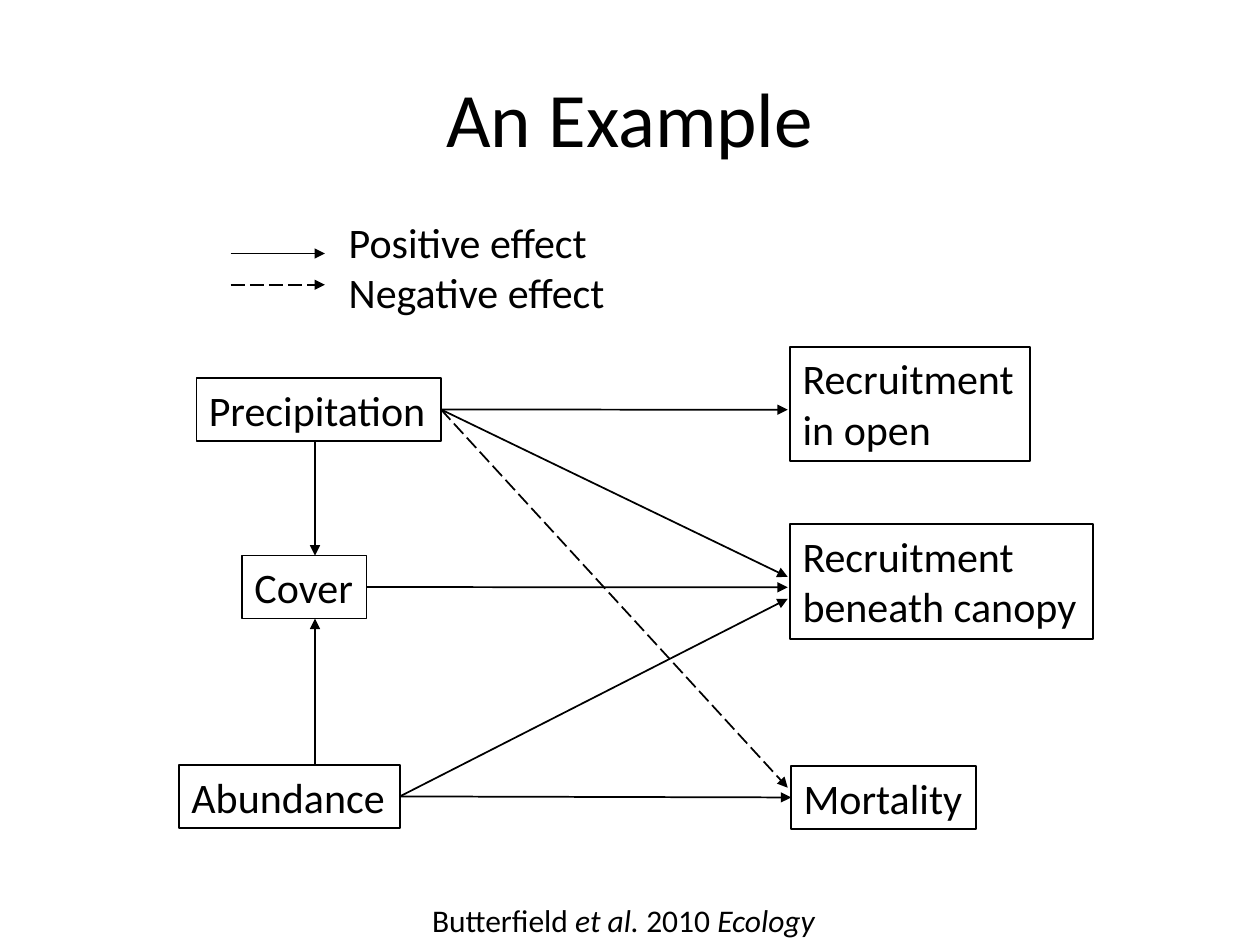
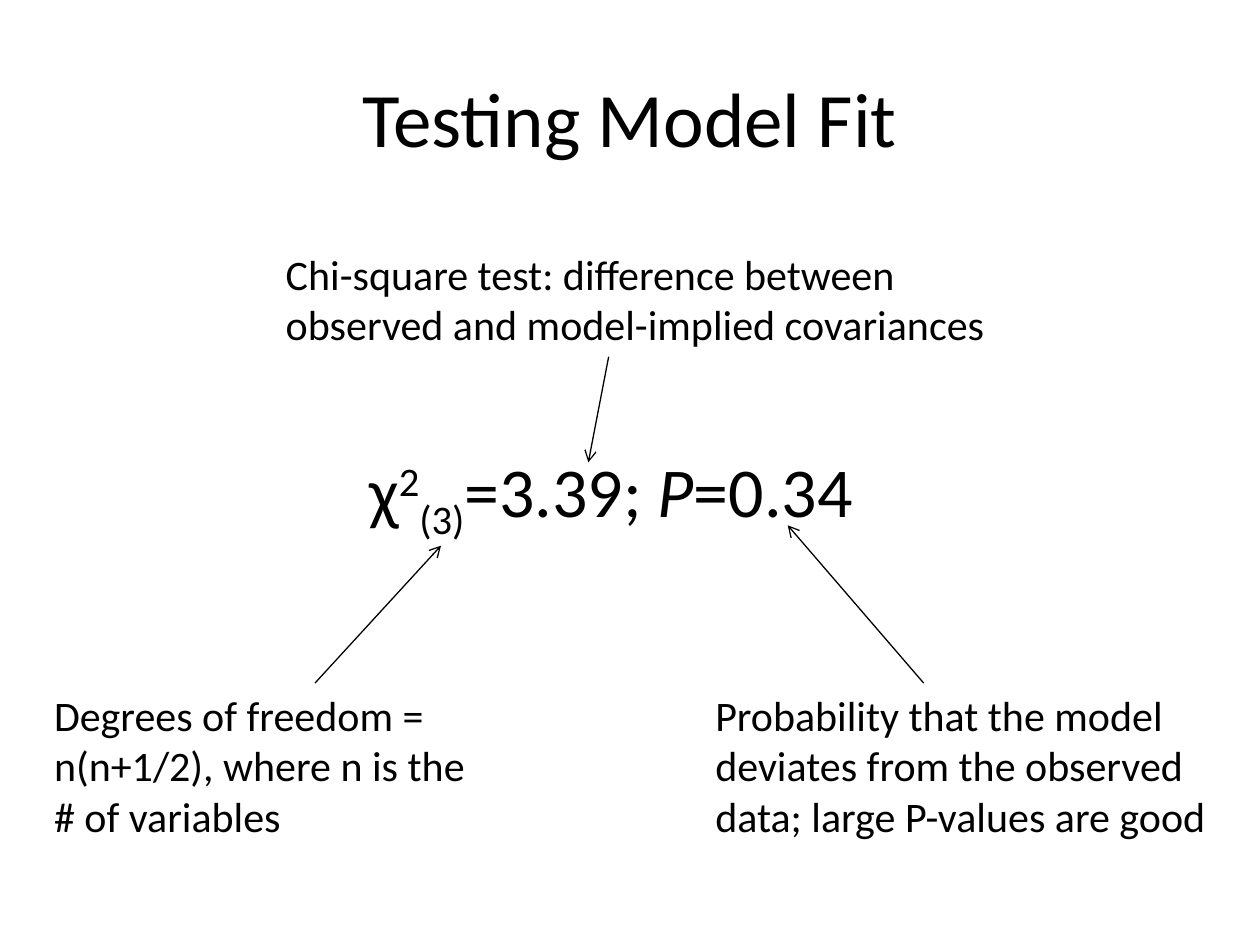
import pptx
import pptx.util
import pptx.dml.color
import pptx.enum.dml
import pptx.enum.shapes
import pptx.enum.text
from lxml import etree
from pptx.oxml.ns import qn

Cm, Pt = pptx.util.Cm, pptx.util.Pt
BLACK = pptx.dml.color.RGBColor(0, 0, 0)
WHITE = pptx.dml.color.RGBColor(255, 255, 255)
FONT = "Calibri"
DASH = pptx.enum.dml.MSO_LINE.LONG_DASH
ALIGN = pptx.enum.text.PP_ALIGN
MIDDLE = pptx.enum.text.MSO_ANCHOR.MIDDLE
GROW = pptx.enum.text.MSO_AUTO_SIZE.SHAPE_TO_FIT_TEXT
RIGHT, LEFT = 3, 1
TITLE_AREA = (1.27, 0.76, 22.86, 3.18)
ITALIC = {"italic": True}

# All places are centimetres: left, top, width, height, or x, y.
# A paragraph is a list of (text, character format) spans.
VARIABLES = {
    "Precipitation": (3.96, 7.62, 4.93, 1.27),
    "Cover": (4.88, 11.2, 2.51, 1.27),
    "Abundance": (3.61, 15.42, 4.45, 1.27),
    "Recruitment\nin open": (15.93, 6.99, 4.83, 2.31),
    "Recruitment\nbeneath canopy": (15.93, 10.57, 6.1, 2.31),
    "Mortality": (15.95, 15.44, 3.73, 1.27),
}
# Cause, height at which the arrow reaches the outcome column, negative effect
OUTCOME_X = 15.88
EFFECTS = [
    ("Precipitation", 8.26, False),
    ("Precipitation", 11.63, False),
    ("Precipitation", 15.88, True),
    ("Cover", 11.84, False),
    ("Abundance", 12.07, False),
]
COVER_X = 6.35
COVER_EFFECTS = [(8.89, 11.2), (15.4, 12.47)]
LEGEND_X = (4.65, 6.55)
LEGEND = [(5.11, False), (5.74, True)]
LEGEND_TEXT = "Positive effect\nNegative effect"
LEGEND_AREA = (6.78, 4.24, 5.74, 2.31)
CITATION = [[("Butterfield ", {}), ("et al.", ITALIC), (" 2010 ", {}), ("Ecology", ITALIC)]]
CITATION_AREA = (8.46, 18.03, 8.33, 1.02)

FORMULA = [[("χ", {}), ("2", {"baseline": 30000}), ("(3)", {"baseline": -25000}),
            ("=3.39; ", {}), ("P", ITALIC), ("=0.34", {})]]
FORMULA_AREA = (7.19, 8.89, 10.57, 1.96)
# Text, area, wraps, arrow start, arrow end
EXPLANATIONS = [
    ("Degrees of freedom =\nn(n+1/2), where n is the\n# of variables",
     (0.84, 13.77, 8.86, 3.33), False, (6.35, 13.77), (8.89, 11)),
    ("Chi-square test: difference between observed and model-implied covariances",
     (5.51, 4.88, 14.81, 2.31), True, (12.27, 7.19), (11.86, 9.32)),
    ("Probability that the model deviates from the observed data; large P-values are good",
     (14.17, 13.77, 10.59, 3.33), True, (18.62, 13.77), (15.88, 10.59)),
]


def write(box, content, size=24, align=ALIGN.LEFT, **frame_format):
    """Fill a box with a string of lines or a list of paragraphs of spans."""
    if isinstance(content, str):
        content = [[(line, {})] for line in content.split("\n")]
    frame = box.text_frame
    frame_format = {"word_wrap": False, "auto_size": GROW,
                    "vertical_anchor": pptx.enum.text.MSO_ANCHOR.TOP} | frame_format
    for name, value in frame_format.items():
        setattr(frame, name, value)
    for number, spans in enumerate(content):
        para = frame.add_paragraph() if number else frame.paragraphs[0]
        para.alignment = align
        for text, character_format in spans:
            span = para.add_run()
            span.text = text
            span.font.color.rgb = BLACK
            values = {"name": FONT, "size": Pt(size)} | character_format
            baseline = values.pop("baseline", None)
            for name, value in values.items():
                setattr(span.font, name, value)
            if baseline:
                span._r.get_or_add_rPr().set("baseline", str(baseline))


def add_text(page, area, content, **text_format):
    box = page.shapes.add_textbox(*map(Cm, area))
    write(box, content, **text_format)


def add_variable(page, area, label):
    box = page.shapes.add_shape(pptx.enum.shapes.MSO_SHAPE.RECTANGLE, *map(Cm, area))
    box.shadow.inherit = False
    box.fill.background()
    box.line.color.rgb = BLACK
    box.line.width = Pt(1)
    write(box, label)
    return box


def add_arrow(page, start, end, dashed=False, width=1, head="triangle"):
    arrow = page.shapes.add_connector(pptx.enum.shapes.MSO_CONNECTOR.STRAIGHT,
                                      *map(Cm, start + end))
    arrow.line.color.rgb = BLACK
    arrow.line.width = Pt(width)
    if dashed:
        arrow.line.dash_style = DASH
    etree.SubElement(arrow.line._get_or_add_ln(), qn("a:tailEnd"), type=head)
    etree.SubElement(arrow._element.spPr, qn("a:effectLst"))
    return arrow


def add_page(deck, title):
    page = deck.slides.add_slide(deck.slide_layouts[6])
    page.background.fill.solid()
    page.background.fill.fore_color.rgb = WHITE
    add_text(page, TITLE_AREA, title, size=44, align=ALIGN.CENTER, word_wrap=True,
             auto_size=pptx.enum.text.MSO_AUTO_SIZE.NONE, vertical_anchor=MIDDLE)
    return page


def add_path_diagram(deck):
    page = add_page(deck, "An Example")
    boxes = {label: add_variable(page, area, label) for label, area in VARIABLES.items()}
    for cause, y, negative in EFFECTS:
        arrow = add_arrow(page, (OUTCOME_X, y), (OUTCOME_X, y), negative)
        arrow.begin_connect(boxes[cause], RIGHT)
    mortality = add_arrow(page, (OUTCOME_X, 16.08), (OUTCOME_X, 16.08))
    mortality.begin_connect(boxes["Abundance"], RIGHT)
    mortality.end_connect(boxes["Mortality"], LEFT)
    for start_y, end_y in COVER_EFFECTS:
        add_arrow(page, (COVER_X, start_y), (COVER_X, end_y))
    for y, negative in LEGEND:
        add_arrow(page, (LEGEND_X[0], y), (LEGEND_X[1], y), negative)
    add_text(page, LEGEND_AREA, LEGEND_TEXT)
    add_text(page, CITATION_AREA, CITATION, size=18)


def add_model_fit(deck):
    page = add_page(deck, "Testing Model Fit")
    add_text(page, FORMULA_AREA, FORMULA, size=40)
    for text, area, wraps, start, end in EXPLANATIONS:
        add_text(page, area, text, word_wrap=wraps)
        add_arrow(page, start, end, width=0.75, head="arrow")


def main():
    deck = pptx.Presentation()
    deck.slide_width, deck.slide_height = Cm(25.4), Cm(19.05)
    add_path_diagram(deck)
    add_model_fit(deck)
    deck.save("out.pptx")


if __name__ == "__main__":
    main()
